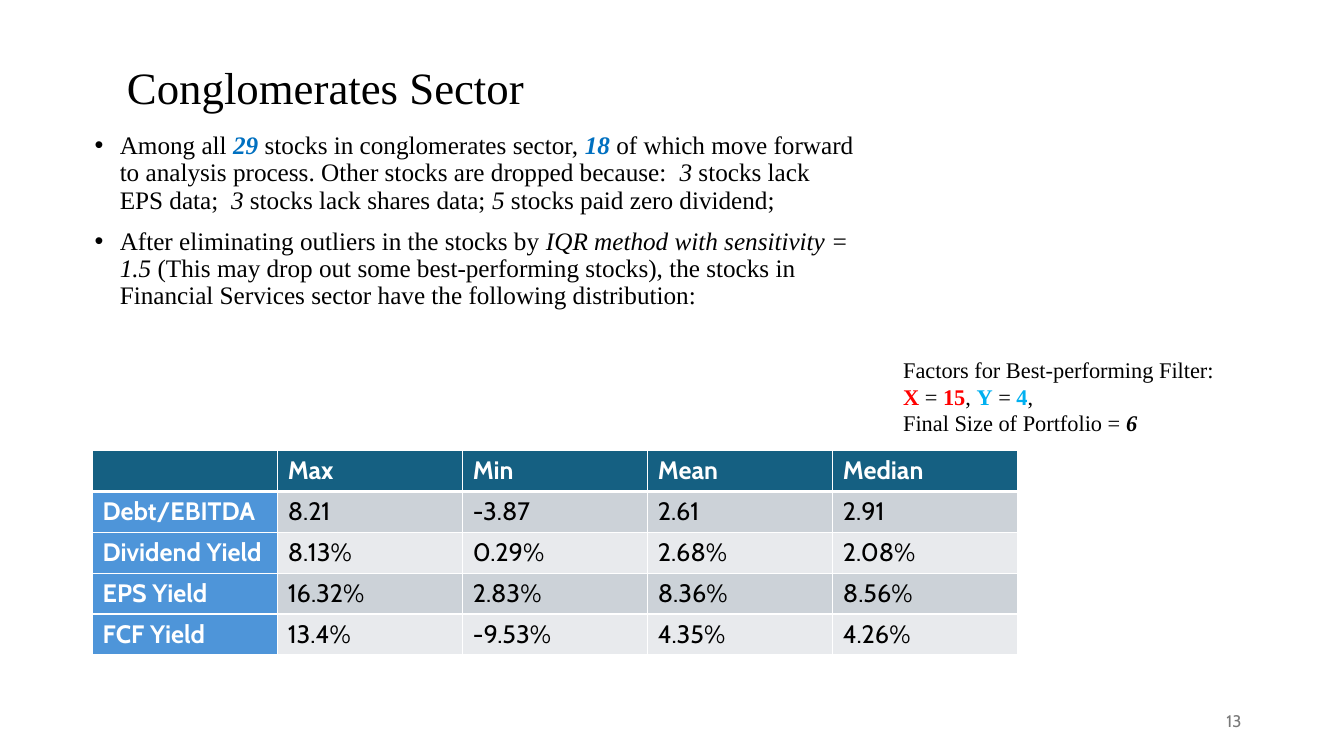
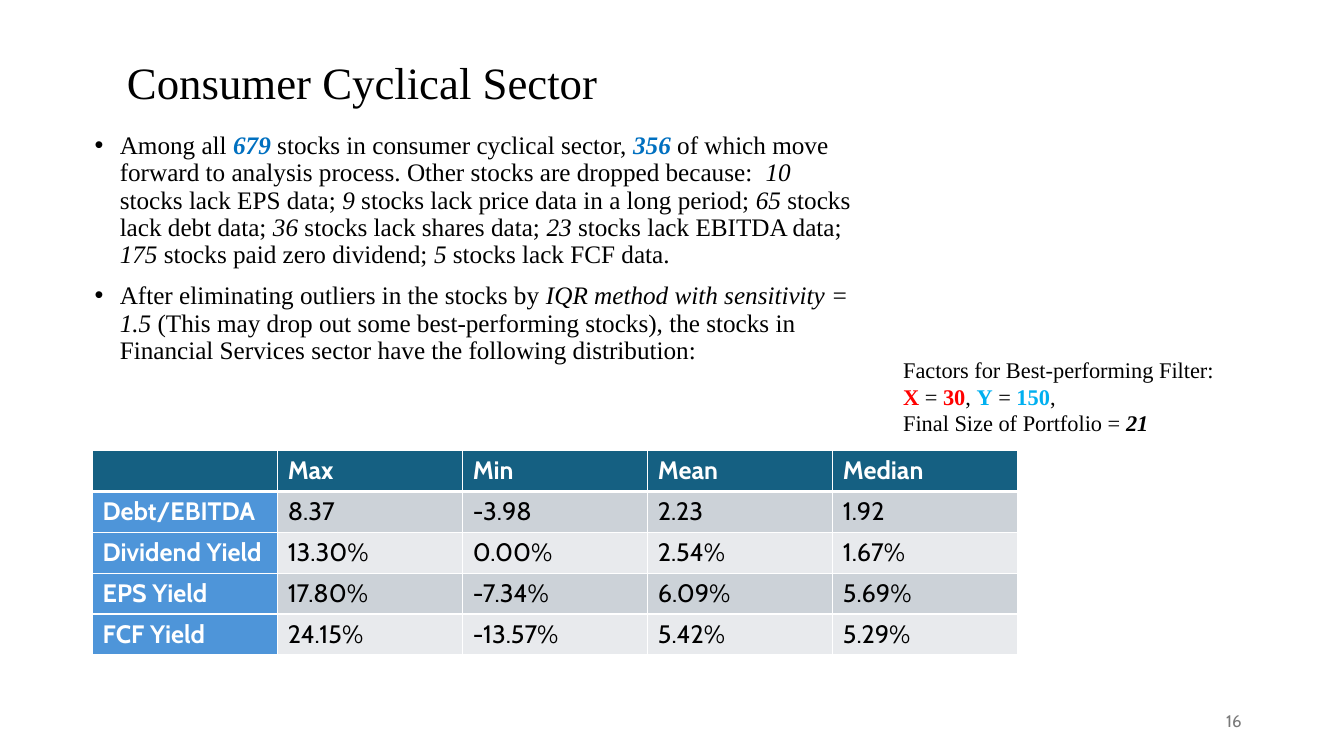
from dataclasses import dataclass
from typing import NamedTuple

from lxml import etree
from pptx import Presentation, oxml
from pptx import util as u
from pptx.dml.color import RGBColor
from pptx.enum import text
from pptx.oxml import ns

SERIF, SANS = "Times New Roman", "Cabin"
BLACK, WHITE, GREY = "000000", "FFFFFF", "797979"
COUNT_BLUE, X_RED, Y_BLUE = "0070C0", "FF0000", "00B0F0"
HEADER_FILL, LABEL_FILL = "156082", "4E95D9"
BAND_FILLS = ("CCD2D8", "E8EAED")
COLUMNS = ("", "Max", "Min", "Mean", "Median")
ROW_LABELS = ("Debt/EBITDA", "Dividend Yield", "EPS Yield", "FCF Yield")
COLUMN_WIDTH, ROW_HEIGHT = 132.2, 29.2


class Box(NamedTuple):
    left: float
    top: float
    width: float
    height: float


class Span(NamedTuple):
    words: str
    color: str = BLACK
    bold: bool = False
    italic: bool = False


class Dropped(NamedTuple):
    count: int
    reason: str


@dataclass
class Sector:
    title: str
    title_box: Box
    name: str
    total: int
    kept: int
    dropped: list[Dropped]
    values: list[tuple[str, ...]]
    x: int
    y: int
    portfolio: int
    number: int


BODY = Box(60.5, 91.4, 556.6, 212.4)
FACTORS = Box(638, 250.6, 256.4, 65.5)
NUMBER = Box(678, 500.5, 216, 28.8)
TABLE = Box(66.2, 321.8, COLUMN_WIDTH * len(COLUMNS), ROW_HEIGHT * (len(ROW_LABELS) + 1))

SECTORS = [
    Sector(
        "Conglomerates Sector", Box(83.5, 10.8, 352.8, 106.6),
        "conglomerates", 29, 18,
        [Dropped(3, " stocks lack EPS data;  "),
         Dropped(3, " stocks lack shares data; "),
         Dropped(5, " stocks paid zero dividend;")],
        [("8.21", "-3.87", "2.61", "2.91"),
         ("8.13%", "0.29%", "2.68%", "2.08%"),
         ("16.32%", "2.83%", "8.36%", "8.56%"),
         ("13.4%", "-9.53%", "4.35%", "4.26%")],
        x=15, y=4, portfolio=6, number=13),
    Sector(
        "Consumer Cyclical Sector", Box(83.5, 10.8, 643.7, 100),
        "consumer cyclical", 679, 356,
        [Dropped(10, " stocks lack EPS data; "),
         Dropped(9, " stocks lack price data in a long period; "),
         Dropped(65, " stocks lack debt data; "),
         Dropped(36, " stocks lack shares data; "),
         Dropped(23, " stocks lack EBITDA data; "),
         Dropped(175, " stocks paid zero dividend; "),
         Dropped(5, " stocks lack FCF data.")],
        [("8.37", "-3.98", "2.23", "1.92"),
         ("13.30%", "0.00%", "2.54%", "1.67%"),
         ("17.80%", "-7.34%", "6.09%", "5.69%"),
         ("24.15%", "-13.57%", "5.42%", "5.29%")],
        x=30, y=150, portfolio=21, number=16),
]


def rgb(color: str) -> RGBColor:
    return RGBColor.from_string(color)


def points(box: Box) -> list[u.Pt]:
    return [u.Pt(length) for length in box]


def style(font, face: str, size: float, color: str, bold=False, italic=False) -> None:
    font.name, font.size = face, u.Pt(size)
    font.bold, font.italic = bold, italic
    font.color.rgb = rgb(color)


def add_box(page, box: Box, paragraphs: list[list[Span]], size: float, face: str = SERIF):
    frame = page.shapes.add_textbox(*points(box)).text_frame
    frame.word_wrap = True
    for index, spans in enumerate(paragraphs):
        para = frame.add_paragraph() if index else frame.paragraphs[0]
        for span in spans:
            run = para.add_run()
            run.text = span.words
            style(run.font, face, size, span.color, span.bold, span.italic)
    return frame


def add_bullet(para) -> None:
    properties = para._p.get_or_add_pPr()
    properties.set("marL", str(u.Pt(18)))
    properties.set("indent", str(-u.Pt(18)))
    etree.SubElement(properties, ns.qn("a:buFont")).set("typeface", "Arial")
    etree.SubElement(properties, ns.qn("a:buChar")).set("char", "•")


def set_borders(cell, top: float, bottom: float) -> None:
    properties = cell._tc.get_or_add_tcPr()
    widths = {"lnL": 1, "lnR": 1, "lnT": top, "lnB": bottom}
    for index, (side, width) in enumerate(widths.items()):
        properties.insert(index, oxml.parse_xml(
            f'<a:{side} {ns.nsdecls("a")} w="{u.Pt(width)}"><a:solidFill>'
            f'<a:srgbClr val="{WHITE}"/></a:solidFill></a:{side}>'))


def add_title(page, sector: Sector) -> None:
    title = page.shapes.title
    title.left, title.top, title.width, title.height = points(sector.title_box)
    frame = title.text_frame
    frame.text = sector.title
    frame.auto_size = text.MSO_AUTO_SIZE.NONE
    frame.vertical_anchor = text.MSO_ANCHOR.MIDDLE
    para = frame.paragraphs[0]
    para.alignment, para.line_spacing = text.PP_ALIGN.LEFT, 0.9
    style(para.runs[0].font, SERIF, 32, BLACK)


def add_body(page, sector: Sector) -> None:
    selection = [
        Span("Among all "),
        Span(str(sector.total), COUNT_BLUE, True, True),
        Span(f" stocks in {sector.name} sector, "),
        Span(str(sector.kept), COUNT_BLUE, True, True),
        Span(" of which move forward to analysis process. "
             "Other stocks are dropped because:  "),
    ]
    for item in sector.dropped:
        selection += [Span(str(item.count), italic=True), Span(item.reason)]
    outliers = [
        Span("After eliminating outliers in the stocks by "),
        Span("IQR method with sensitivity = 1.5 ", italic=True),
        Span("(This may drop out some best-performing stocks), the stocks in "
             "Financial Services sector have the following distribution:"),
    ]
    frame = add_box(page, BODY, [selection, outliers], 18)
    for index, para in enumerate(frame.paragraphs):
        add_bullet(para)
        para.line_spacing = 0.9
        para.space_before = u.Pt(10 if index else 0)


def add_statistics(page, sector: Sector) -> None:
    rows = [COLUMNS] + [(label, *row) for label, row in zip(ROW_LABELS, sector.values)]
    table = page.shapes.add_table(len(rows), len(COLUMNS), *points(TABLE)).table
    table.horz_banding = False
    for column in table.columns:
        column.width = u.Pt(COLUMN_WIDTH)
    for r, row in enumerate(rows):
        table.rows[r].height = u.Pt(ROW_HEIGHT)
        for c, words in enumerate(row):
            cell = table.cell(r, c)
            heading = r == 0 or c == 0
            fill = HEADER_FILL if r == 0 else LABEL_FILL if c == 0 else BAND_FILLS[(r - 1) % 2]
            cell.fill.solid()
            cell.fill.fore_color.rgb = rgb(fill)
            # The rule under the header is thicker than the others
            set_borders(cell, top=3 if r == 1 else 1, bottom=3 if r == 0 else 1)
            para = cell.text_frame.paragraphs[0]
            para.text = words
            style(para.font, SANS, 18, WHITE if heading else BLACK, heading)
            for run in para.runs:
                style(run.font, SANS, 18, WHITE if heading else BLACK, heading)


def add_factors(page, sector: Sector) -> None:
    add_box(page, FACTORS, [
        [Span("Factors for Best-performing Filter:")],
        [Span("X", X_RED, True), Span(" = "), Span(str(sector.x), X_RED, True), Span(", "),
         Span("Y", Y_BLUE, True), Span(" = "), Span(str(sector.y), Y_BLUE, True), Span(",")],
        [Span("Final Size of Portfolio = "), Span(str(sector.portfolio), bold=True, italic=True)],
    ], 16)


def add_number(page, sector: Sector) -> None:
    frame = add_box(page, NUMBER, [[Span(str(sector.number), GREY)]], 12, SANS)
    frame.vertical_anchor = text.MSO_ANCHOR.MIDDLE
    frame.paragraphs[0].alignment = text.PP_ALIGN.RIGHT


def main() -> None:
    deck = Presentation()
    deck.slide_width, deck.slide_height = u.Pt(960), u.Pt(540)
    for sector in SECTORS:
        page = deck.slides.add_slide(deck.slide_layouts[5])
        for add_part in (add_title, add_body, add_number, add_statistics, add_factors):
            add_part(page, sector)
    deck.save("out.pptx")


if __name__ == "__main__":
    main()
